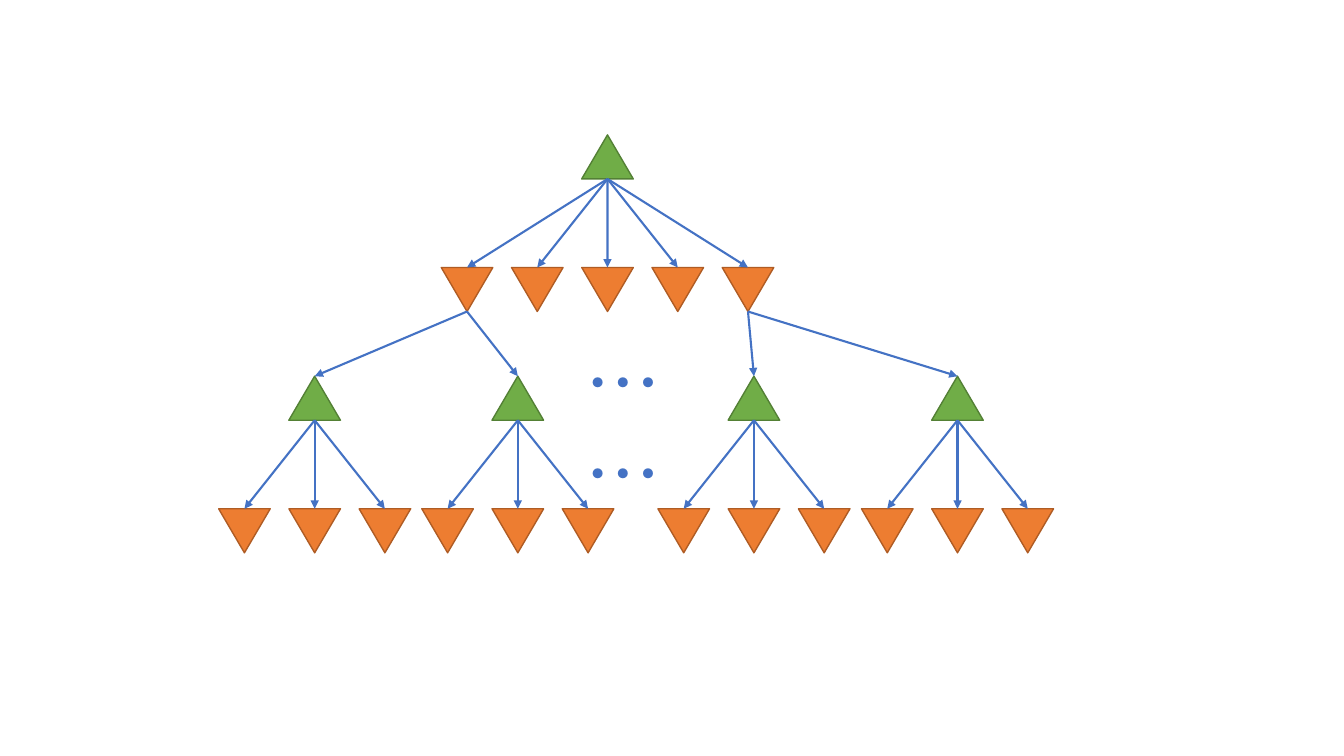
import pptx
import pptx.util
import pptx.dml.color
import pptx.enum.dml
import pptx.enum.lang
import pptx.enum.shapes
import pptx.enum.text
import pptx.oxml
import pptx.oxml.ns
from dataclasses import dataclass

Cm = pptx.util.Cm
Pt = pptx.util.Pt
SHAPE = pptx.enum.shapes.MSO_SHAPE
ALIGN = pptx.enum.text.PP_ALIGN


@dataclass(frozen=True)
class Theme:
    green: str = "70AD47"
    moss: str = "538035"
    orange: str = "ED7D31"
    rust: str = "AF5C24"
    blue: str = "4472C4"
    font: str = "Noto Sans CJK SC"
    big: float = 54
    pitch: float = 65
    edge: float = 1
    arrow: float = 1.5


THEME = Theme()
WIDE, HIGH = 1.3, 1.11
STEP, DROP = 1.77, 3.34
ROOT = (15.31, 3.4)
CHILD_TOP = 9.48
PAIRS = {0: (7.93, 13.05), 4: (19.0, 24.13)}
APEX, BASE = 0, 3


def rgb(code):
    return pptx.dml.color.RGBColor.from_string(code)


def add_node(slide, mid, top, fill, edge, turn=0):
    node = slide.shapes.add_shape(
        SHAPE.ISOSCELES_TRIANGLE, Cm(mid - WIDE / 2), Cm(top), Cm(WIDE), Cm(HIGH))
    node.rotation = turn
    node.shadow.inherit = False
    node.fill.solid()
    node.fill.fore_color.rgb = rgb(fill)
    node.line.color.rgb = rgb(edge)
    node.line.width = Pt(THEME.edge)
    return node


def add_max(slide, mid, top):
    return add_node(slide, mid, top, THEME.green, THEME.moss)


def add_min(slide, mid, top):
    return add_node(slide, mid, top, THEME.orange, THEME.rust, 180)


def add_arrow(slide, start, end, site):
    link = slide.shapes.add_connector(
        pptx.enum.shapes.MSO_CONNECTOR.STRAIGHT, 0, 0, 0, 0)
    link.begin_connect(start, site)
    link.end_connect(end, site)
    link.begin_x = start.left + start.width // 2
    link.begin_y = start.top + start.height
    link.end_x = end.left + end.width // 2
    link.end_y = end.top
    link.line.color.rgb = rgb(THEME.blue)
    link.line.width = Pt(THEME.arrow)
    tail = pptx.oxml.ns.qn("a:tailEnd")
    link.line._get_or_add_ln().append(pptx.oxml.parse_xml(
        f'<a:tailEnd {pptx.oxml.ns.nsdecls("a")} type="triangle"/>')
        if tail else None)
    link._element.spPr.append(pptx.oxml.parse_xml(
        f'<a:effectLst {pptx.oxml.ns.nsdecls("a")}/>'))


def add_fan(slide, mid, top, count):
    head = add_max(slide, mid, top)
    first = mid - STEP * (count - 1) / 2
    leaves = [add_min(slide, first + STEP * i, top + DROP) for i in range(count)]
    for leaf in leaves:
        add_arrow(slide, head, leaf, BASE)
    return head, leaves


def add_text(slide, text, left, top, width, height, *, size, color, font,
             align=ALIGN.CENTER, pitch=None):
    box = slide.shapes.add_textbox(Cm(left), Cm(top), Cm(width), Cm(height))
    frame = box.text_frame
    frame.word_wrap = True
    para = frame.paragraphs[0]
    para.alignment = align
    if pitch:
        para.line_spacing = Pt(pitch)
    run = para.add_run()
    run.text = text
    run.font.size = Pt(size)
    run.font.name = font
    run.font.color.rgb = rgb(color)
    run.font.language_id = pptx.enum.lang.MSO_LANGUAGE_ID.SIMPLIFIED_CHINESE
    run.font._element.append(pptx.oxml.parse_xml(
        f'<a:ea {pptx.oxml.ns.nsdecls("a")} typeface="{font}"/>'))
    return box


def main():
    deck = pptx.Presentation()
    deck.slide_width, deck.slide_height = Cm(33.87), Cm(19.05)
    slide = deck.slides.add_slide(deck.slide_layouts[6])
    _, moves = add_fan(slide, *ROOT, 5)
    for index, mids in PAIRS.items():
        for mid in mids:
            head, _ = add_fan(slide, mid, CHILD_TOP, 3)
            add_arrow(slide, moves[index], head, APEX)
    add_text(slide, "……", 14.12, 8.33, 3.2, 2.57, size=THEME.big,
             color=THEME.blue, font=THEME.font, pitch=THEME.pitch)
    deck.save("out.pptx")


main()
